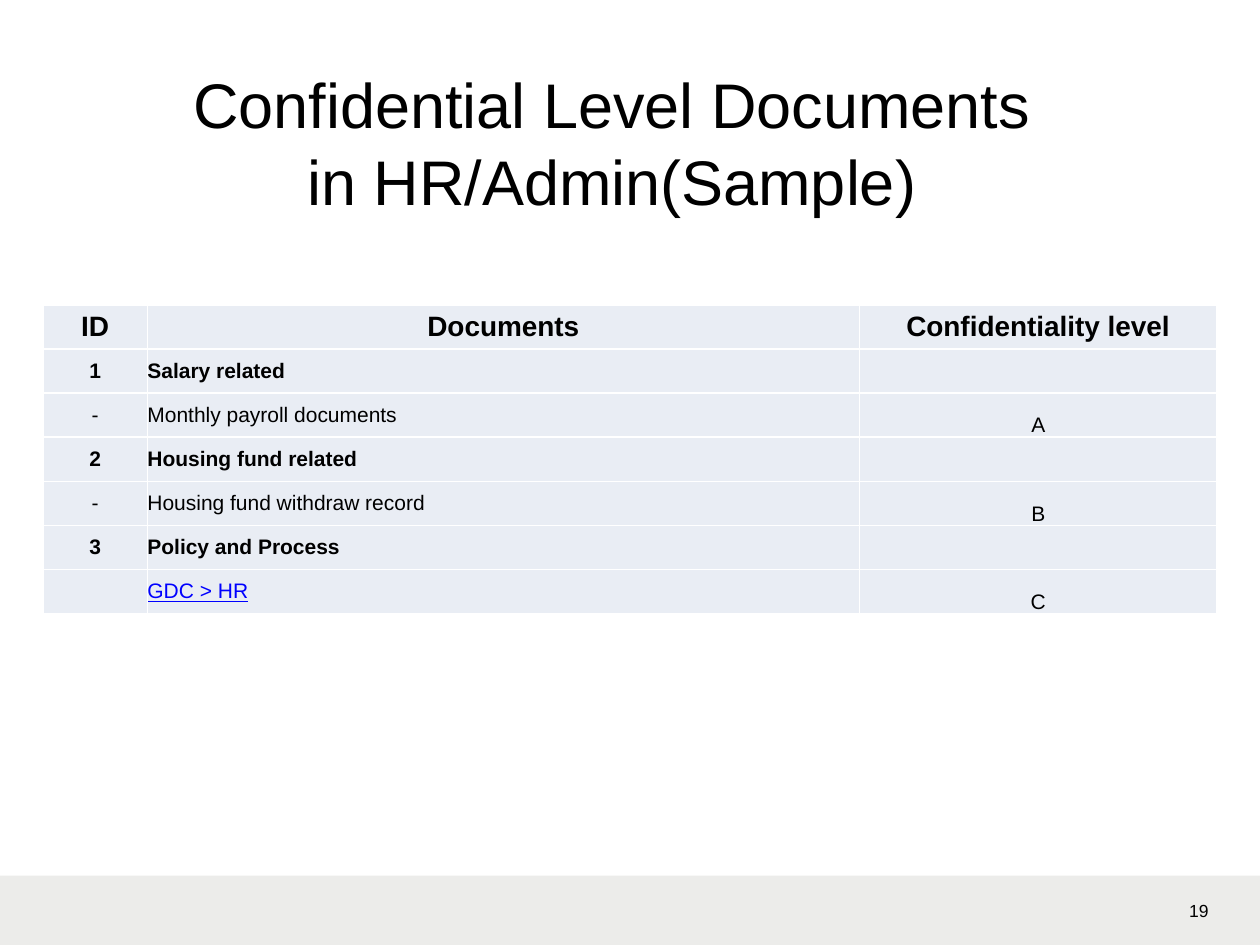
"""Build the slide listing confidential HR/Admin documents."""
from lxml import etree
from pptx import Presentation
from pptx.dml.color import RGBColor
from pptx.enum import shapes, text
from pptx.oxml.ns import qn
from pptx.util import Inches, Pt

HEX = {"ink": "000000", "cell": "E9EDF4", "line": "FFFFFF", "foot": "ECECEA", "link": "0000FF"}
TITLE = "Confidential Level Documents in HR/Admin(Sample)"
PAGE = "19"
ROWS = [
    ("ID", "Documents", "Confidentiality level"),
    ("1", "Salary related", ""),
    ("-", "Monthly payroll documents", "A"),
    ("2", "Housing fund related", ""),
    ("-", "Housing fund withdraw record", "B"),
    ("3", "Policy and Process", ""),
    ("", "GDC > HR", "C"),
]
COLS = (0.83, 5.65, 2.84)
HIGH = 0.35
LEFT, MID = text.PP_ALIGN.LEFT, text.PP_ALIGN.CENTER


def rgb(name):
    return RGBColor.from_string(HEX[name])


def style(para, size, align=LEFT, bold=False, color="ink"):
    para.alignment = align
    font = para.font
    font.name, font.size, font.bold = "Arial", Pt(size), bold
    font.color.rgb = rgb(color)


def label(slide, words, box, size, align=LEFT):
    frame = slide.shapes.add_textbox(*map(Inches, box)).text_frame
    frame.word_wrap = True
    frame.text = words
    style(frame.paragraphs[0], size, align)
    return frame.paragraphs[0]


def border(cell):
    props = cell._tc.get_or_add_tcPr()
    for spot, side in enumerate(("lnL", "lnR", "lnT", "lnB")):
        line = etree.Element(qn(f"a:{side}"), w=str(Pt(1)))
        fill = etree.SubElement(line, qn("a:solidFill"))
        etree.SubElement(fill, qn("a:srgbClr"), val=HEX["line"])
        props.insert(spot, line)


def fill_cell(cell, words, row, col):
    cell.fill.solid()
    cell.fill.fore_color.rgb = rgb("cell")
    cell.margin_left = cell.margin_right = cell.margin_top = cell.margin_bottom = 0
    head, link = row == 0, words == "GDC > HR"
    low = col == 2 and not head
    cell.vertical_anchor = text.MSO_ANCHOR.BOTTOM if low else text.MSO_ANCHOR.MIDDLE
    cell.text = words
    para = cell.text_frame.paragraphs[0]
    style(para, 16 if head else 12, MID if head or col != 1 else LEFT,
          head or (row % 2 == 1 and col < 2), "link" if link else "ink")
    para.font.underline = link
    border(cell)


def main():
    deck = Presentation()
    deck.slide_width, deck.slide_height = Inches(10), Inches(7.5)
    slide = deck.slides.add_slide(deck.slide_layouts[6])

    foot = slide.shapes.add_shape(shapes.MSO_SHAPE.RECTANGLE, 0, Inches(6.95), Inches(10), Inches(0.55))
    foot.shadow.inherit = False
    foot.fill.solid()
    foot.fill.fore_color.rgb = rgb("foot")
    foot.line.fill.background()

    label(slide, PAGE, (9.34, 7.09, 0.6, 0.27), 10)
    label(slide, TITLE, (1.33, 0.45, 7.05, 0.69), 36, MID).line_spacing = 1.03

    box = map(Inches, (0.34, 2.42, sum(COLS), HIGH * len(ROWS)))
    table = slide.shapes.add_table(len(ROWS), len(COLS), *box).table
    table.first_row = table.horz_banding = False
    for col, wide in zip(table.columns, COLS):
        col.width = Inches(wide)
    for r, row in enumerate(ROWS):
        table.rows[r].height = Inches(HIGH)
        for c, words in enumerate(row):
            fill_cell(table.cell(r, c), words, r, c)

    deck.save("out.pptx")


if __name__ == "__main__":
    main()
